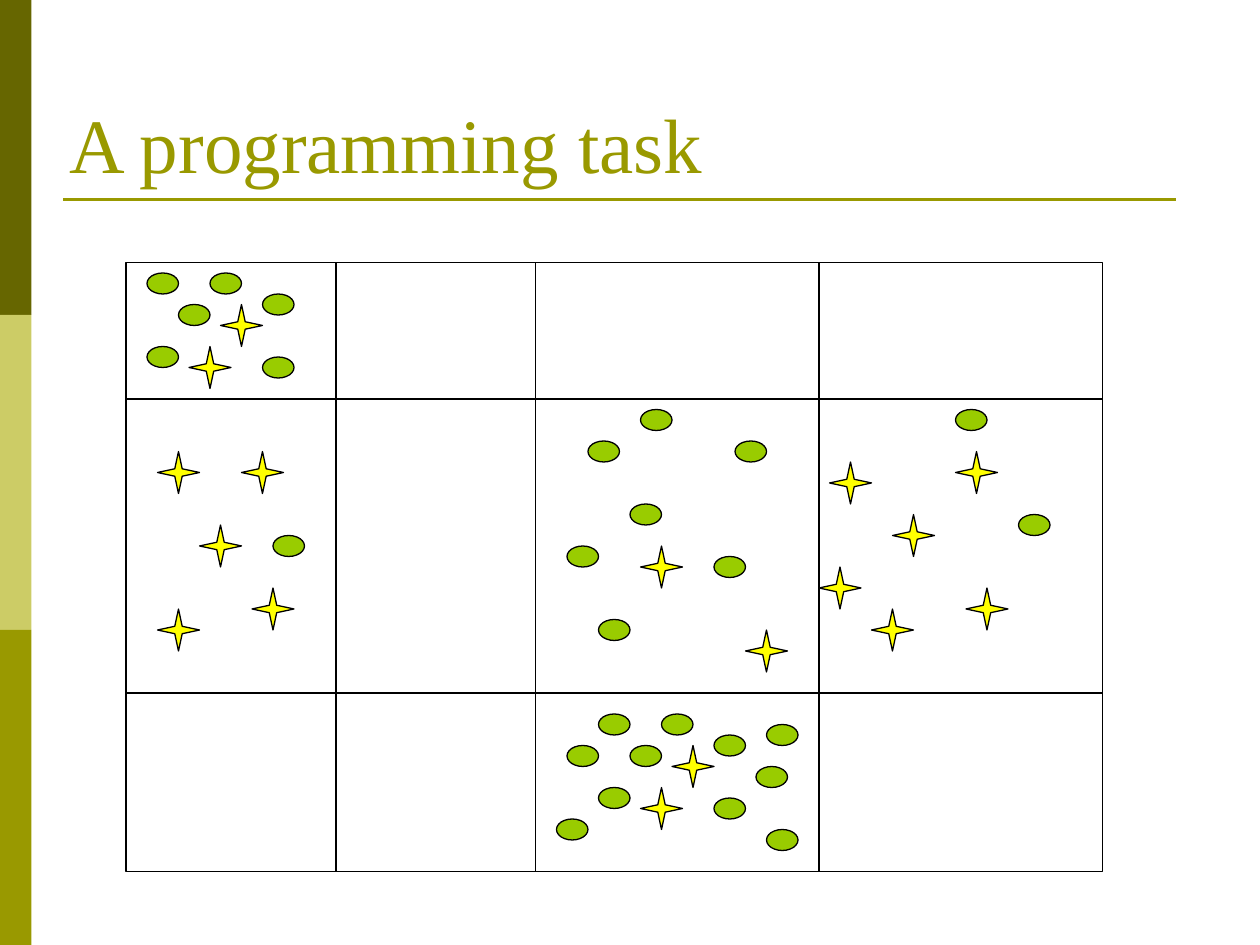
from dataclasses import dataclass

from lxml import etree
from pptx import Presentation
from pptx.dml.color import RGBColor
from pptx.enum import shapes, text
from pptx.oxml.ns import qn
from pptx.util import Pt


@dataclass(frozen=True)
class Theme:
    dark: str = "666600"
    light: str = "CCCC66"
    accent: str = "999900"
    paper: str = "FFFFFF"
    ink: str = "000000"
    oval: str = "99CC00"
    star: str = "FFFF00"
    font: str = "Times New Roman"
    title_size: float = 44
    hairline: float = 0.75
    rule: float = 1.5


# Left and top corners in points, grouped by the cell that holds the items.
OVALS = {
    "top left": [(102, 174), (84, 198), (84, 156), (120, 156), (150, 168), (150, 204)],
    "middle left": [(156, 306)],
    "middle centre": [(360, 288), (342, 354), (336, 252), (420, 252), (366, 234),
                      (408, 318), (324, 312)],
    "middle right": [(546, 234), (582, 294)],
    "bottom centre": [(360, 426), (342, 450), (342, 408), (378, 408), (408, 420),
                      (408, 456), (438, 474), (438, 414), (432, 438), (318, 468),
                      (324, 426)],
}
STARS = {
    "top left": [(108, 198), (126, 174)],
    "middle left": [(90, 258), (114, 300), (138, 258), (90, 348), (144, 336)],
    "middle centre": [(366, 312), (426, 360)],
    "middle right": [(474, 264), (468, 324), (546, 258), (498, 348), (552, 336),
                     (510, 294)],
    "bottom centre": [(366, 450), (384, 426)],
}
COLUMN_EDGES = [72, 192, 306, 468, 630]
ROW_EDGES = [150, 228, 396, 498]


def write(frame, words, *, size, color, font, align=text.PP_ALIGN.LEFT):
    paragraph = frame.paragraphs[0]
    paragraph.alignment = align
    run = paragraph.add_run()
    run.text = words
    run.font.size = Pt(size)
    run.font.name = font
    run.font.color.rgb = RGBColor.from_string(color)


class SlideBuilder:
    def __init__(self, slide, theme):
        self.slide = slide
        self.theme = theme

    def title(self, words, left, top, width, height):
        title = self.slide.shapes.title
        title.left, title.top = Pt(left), Pt(top)
        title.width, title.height = Pt(width), Pt(height)
        frame = title.text_frame
        frame.word_wrap = True
        frame.auto_size = text.MSO_AUTO_SIZE.NONE
        frame.vertical_anchor = text.MSO_ANCHOR.BOTTOM
        frame.margin_left = frame.margin_right = Pt(3.6)
        frame.margin_top = frame.margin_bottom = Pt(3.6)
        write(frame, words, size=self.theme.title_size, color=self.theme.accent,
              font=self.theme.font)

    def shape(self, kind, left, top, width, height, fill, outlined=True):
        shape = self.slide.shapes.add_shape(
            kind, Pt(left), Pt(top), Pt(width), Pt(height))
        shape.shadow.inherit = False
        shape.fill.solid()
        shape.fill.fore_color.rgb = RGBColor.from_string(fill)
        if outlined:
            shape.line.color.rgb = RGBColor.from_string(self.theme.ink)
            shape.line.width = Pt(self.theme.hairline)
        else:
            shape.line.fill.background()
        return shape

    def line(self, x1, y1, x2, y2, color, weight):
        line = self.slide.shapes.add_connector(
            shapes.MSO_CONNECTOR.STRAIGHT, Pt(x1), Pt(y1), Pt(x2), Pt(y2))
        line.line.color.rgb = RGBColor.from_string(color)
        line.line.width = Pt(weight)
        etree.SubElement(line._element.spPr, qn("a:effectLst"))

    def side_bars(self):
        colors = (self.theme.dark, self.theme.light, self.theme.accent)
        for row, color in enumerate(colors):
            self.shape(shapes.MSO_SHAPE.RECTANGLE, 0, 180 * row, 18, 180, color,
                       outlined=False)

    def grid(self, columns, rows):
        left, right, top, bottom = columns[0], columns[-1], rows[0], rows[-1]
        ink, weight = self.theme.ink, self.theme.hairline
        self.shape(shapes.MSO_SHAPE.RECTANGLE, left, top, right - left, bottom - top,
                   self.theme.paper)
        for y in rows[1:-1]:
            self.line(left, y, right, y, ink, weight)
        for x in columns[1:-1]:
            self.line(x, top, x, bottom, ink, weight)

    def oval(self, left, top):
        self.shape(shapes.MSO_SHAPE.OVAL, left, top, 18, 12, self.theme.oval)

    def star(self, left, top):
        star = self.shape(shapes.MSO_SHAPE.STAR_4_POINT, left, top, 24, 24,
                          self.theme.star)
        star.adjustments[0] = 0.125


def main():
    deck = Presentation()
    deck.slide_width, deck.slide_height = Pt(720), Pt(540)
    theme = Theme()
    builder = SlideBuilder(deck.slides.add_slide(deck.slide_layouts[5]), theme)

    builder.side_bars()
    builder.line(36, 114, 672, 114, theme.accent, theme.rule)
    builder.title("A programming task", 36, 21.6, 648, 90)
    builder.grid(COLUMN_EDGES, ROW_EDGES)
    for draw, cells in ((builder.oval, OVALS), (builder.star, STARS)):
        for corners in cells.values():
            for left, top in corners:
                draw(left, top)

    deck.save("out.pptx")


if __name__ == "__main__":
    main()
